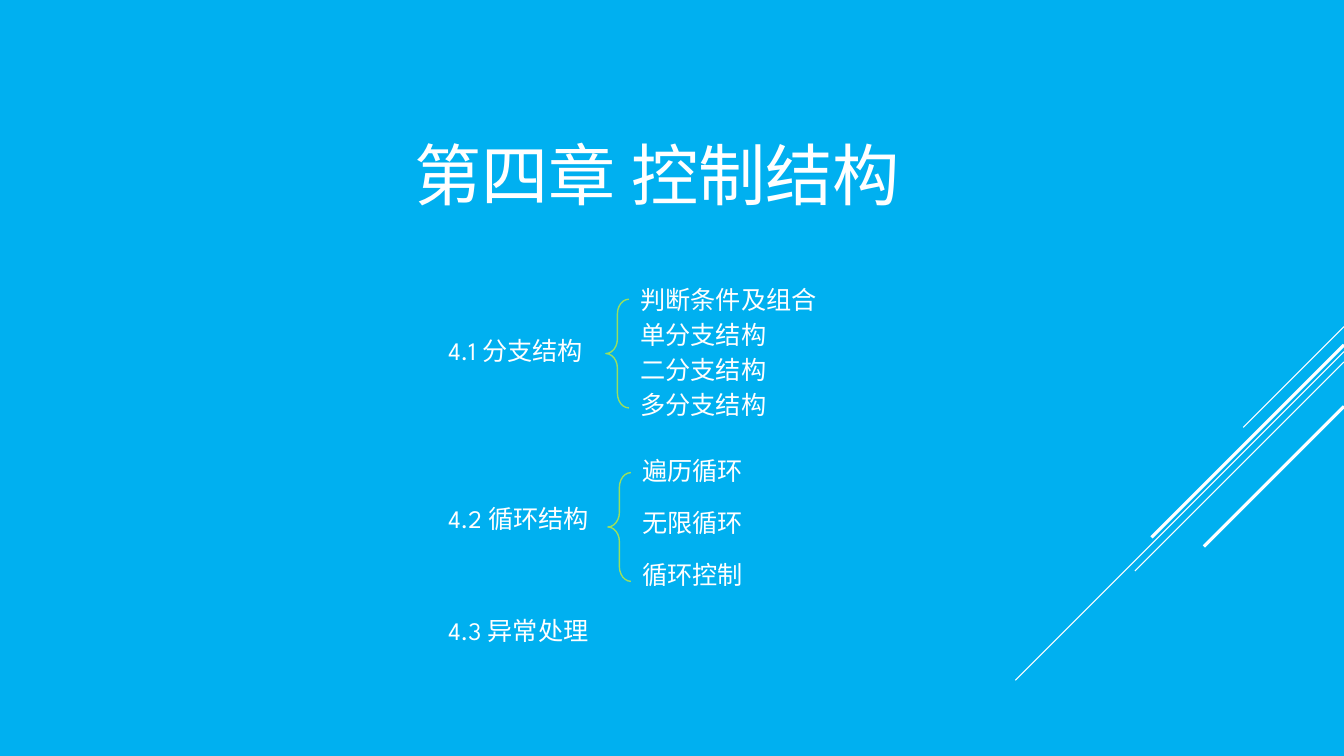
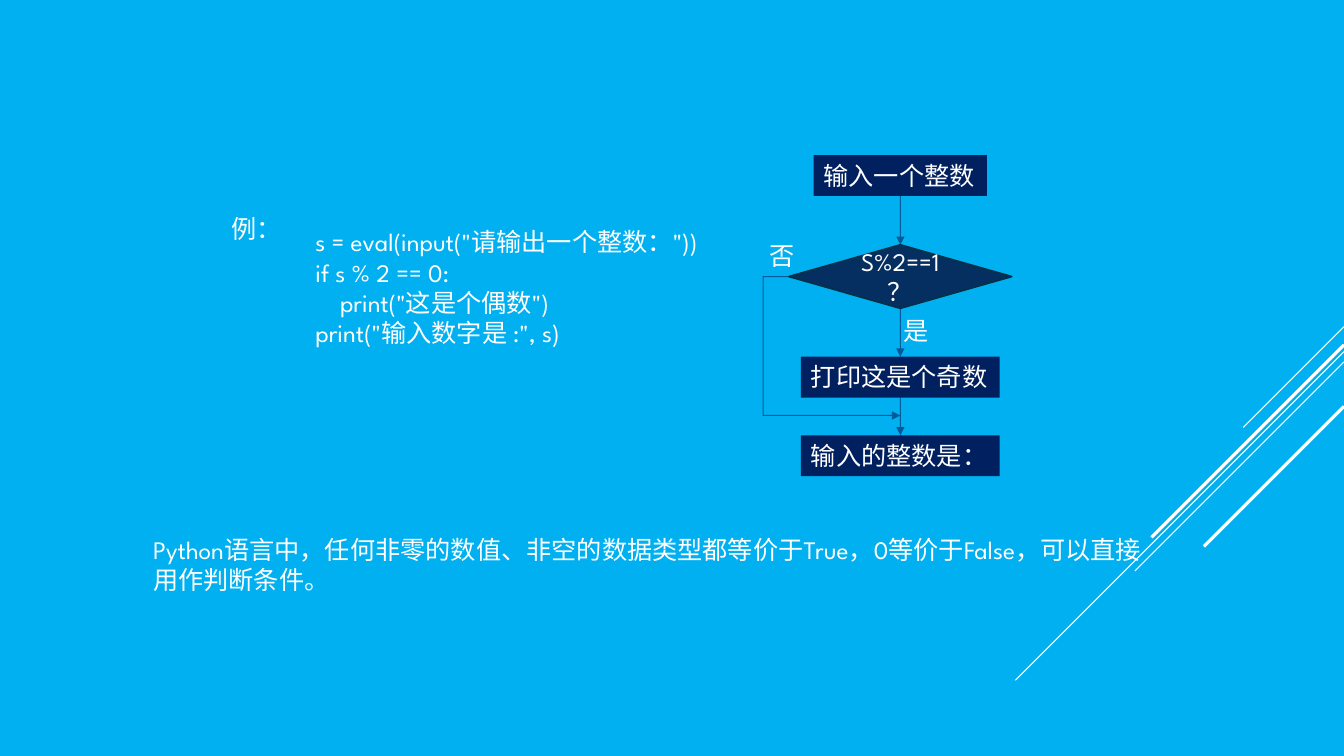
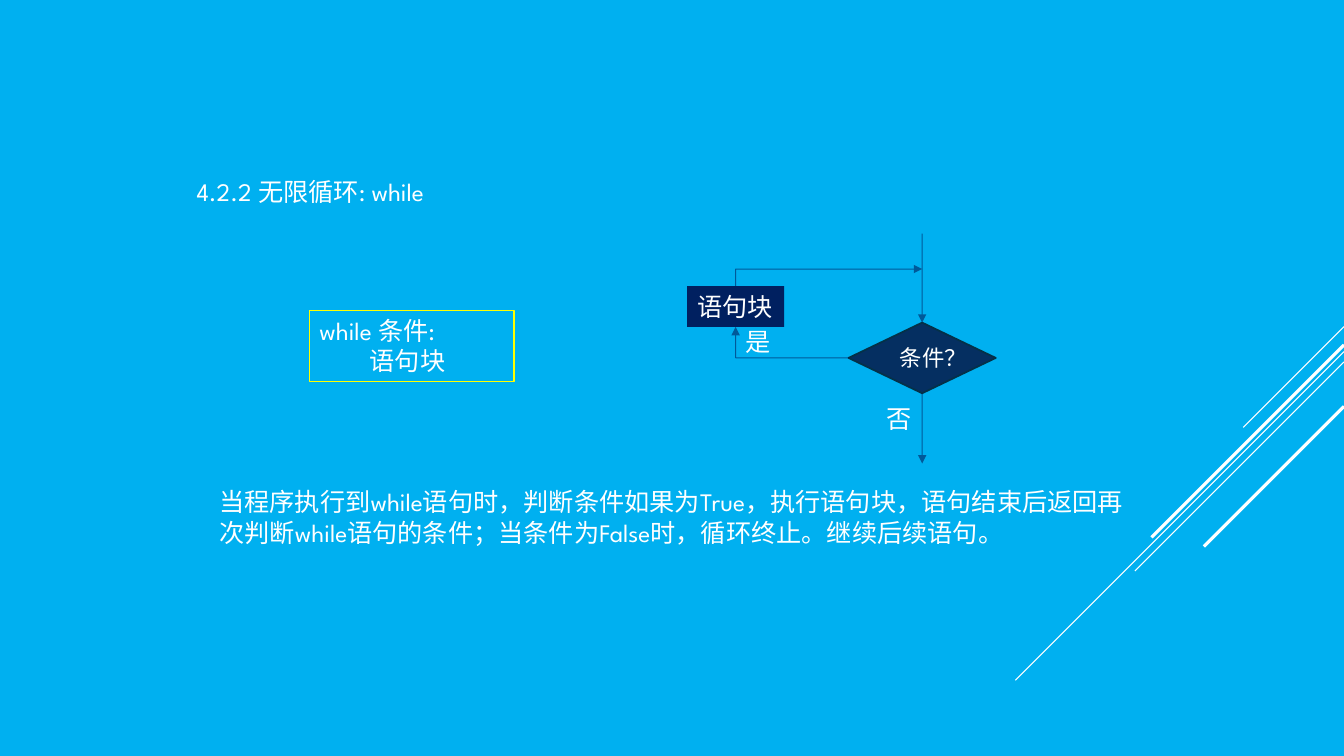
from pptx import Presentation
from pptx.dml.color import RGBColor
from pptx.enum import shapes, text
from pptx.oxml.ns import qn
from pptx.util import Cm, Pt
from lxml import etree

FONT = "League Spartan"
SKY, WHITE, YELLOW, NAVY = "00B0F0", "FFFFFF", "FFFF00", "002060"
DIAMOND_FILL, DIAMOND_EDGE = "052F61", "043148"
PAGE_W, PAGE_H = 33.87, 19.05
LINE_H = 1.03   # box height of one 18 pt line

# Diagonal stripes at 45 degrees: height on the right edge, run, weight
STRIPES = [(8.23, 2.54, 0.75), (8.86, 8.28, 0.75), (9.12, 5.27, 0.75),
           (8.69, 4.85, 2.25), (10.24, 3.53, 2.25)]

CHAPTER = "第四章 控制结构"
SECTIONS = [("4.1 分支结构", 8.33), ("4.2 循环结构", 12.57), ("4.3 异常处理", 15.37)]
# Items, left, top, gap in points, brace top
TOPICS = [
    (["判断条件及组合", "单分支结构", "二分支结构", "多分支结构"], 15.88, 7.04, 3.5, 7.54),
    (["遍历循环", "无限循环", "循环控制"], 15.93, 11.35, 15.3, 11.91),
]

PARITY_CODE = ['s = eval(input("请输出一个整数："))', "if s % 2 == 0:",
               'print("这是个偶数")', 'print("输入数字是 :", s)']
PARITY_NOTE = ("Python语言中，任何非零的数值、非空的数据类型都等价于True，"
               "0等价于False，可以直接用作判断条件。")
PARITY_AXIS = 22.69
# Kind, text, width, top, height
PARITY_STEPS = [("box", "输入一个整数", 4.37, 3.91, LINE_H),
                ("decision", "S%2==1？", 5.61, 6.17, 1.6),
                ("box", "打印这是个奇数", 5.01, 8.99, LINE_H),
                ("box", "输入的整数是：", 5.01, 10.97, LINE_H)]

WHILE_HEADING = "4.2.2 无限循环: while"
WHILE_CODE = ["while 条件:", "语句块"]
WHILE_NOTE = ("当程序执行到while语句时，判断条件如果为True，执行语句块，语句结束后返回"
              "再次判断while语句的条件；当条件为False时，循环终止。继续后续语句。")
WHILE_AXIS, BODY_AXIS = 23.24, 18.54


def rgb(hex_string):
    return RGBColor.from_string(hex_string)


def place(shape, left, top, width, height):
    for side, value in dict(left=left, top=top, width=width, height=height).items():
        setattr(shape, side, Cm(value))


def write(shape, lines, size=18, align="LEFT", anchor="TOP", gap=0, indents=()):
    """Fill a shape with paragraphs; indents maps line numbers to left margins."""
    frame = shape.text_frame
    settings = dict(word_wrap=True, auto_size=text.MSO_AUTO_SIZE.NONE,
                    vertical_anchor=text.MSO_ANCHOR[anchor])
    for key, value in settings.items():
        setattr(frame, key, value)
    frame.text = "\n".join(lines)
    for number, paragraph in enumerate(frame.paragraphs):
        paragraph.alignment = text.PP_ALIGN[align]
        paragraph.space_before, paragraph.space_after = Pt(0), Pt(gap)
        props = paragraph._p.get_or_add_pPr()
        props.set("marL", str(Cm(dict(indents).get(number, 0))))
        props.set("indent", "0")
        etree.SubElement(props, qn("a:buNone"))
        font = paragraph.runs[0].font
        font.name, font.size = FONT, Pt(size)
        font.color.rgb = rgb(WHITE)


def add_text(slide, lines, left, top, width, height=LINE_H, **style):
    box = slide.shapes.add_textbox(0, 0, 0, 0)
    place(box, left, top, width, height)
    write(box, lines, **style)


def fill_placeholder(holder, lines, left, top, width, height, **style):
    place(holder, left, top, width, height)
    write(holder, lines, **style)


def style_line(line, color, weight, opacity=100):
    line.color.rgb, line.width = rgb(color), Pt(weight)
    if opacity < 100:
        tint = line.fill._xPr.find(".//" + qn("a:srgbClr"))
        etree.SubElement(tint, qn("a:alpha"), val=str(opacity * 1000))


def add_shape(slide, kind, left, top, width, height, fill=None, edge=None):
    """Add a preset shape; edge holds colour, weight and optional opacity."""
    shape = slide.shapes.add_shape(shapes.MSO_SHAPE[kind], 0, 0, 0, 0)
    place(shape, left, top, width, height)
    shape.shadow.inherit = False
    if fill:
        shape.fill.solid()
        shape.fill.fore_color.rgb = rgb(fill)
    else:
        shape.fill.background()
    if edge:
        style_line(shape.line, *edge)
    else:
        shape.line.fill.background()
    return shape


def add_step(slide, kind, label, axis, width, top, height, size=18):
    """Add a flow chart step centred on a vertical axis."""
    left = axis - width / 2
    if kind == "decision":
        step = add_shape(slide, "FLOWCHART_DECISION", left, top, width, height,
                         DIAMOND_FILL, (DIAMOND_EDGE, 1.25))
        write(step, [label], size, "CENTER", "MIDDLE")
    else:
        step = add_shape(slide, "RECTANGLE", left, top, width, height, NAVY)
        write(step, [label], size)
    return step


def add_line(slide, start, end, kind="STRAIGHT", color=NAVY, weight=0.75, opacity=60):
    ends = [Cm(value) for value in (*start, *end)]
    line = slide.shapes.add_connector(shapes.MSO_CONNECTOR[kind], *ends)
    style_line(line.line, color, weight, opacity)
    etree.SubElement(line.element.spPr, qn("a:effectLst"))
    return line


def add_arrow(slide, start, end, kind="STRAIGHT", tip="tailEnd", preset=None, bend=None):
    """Add an arrow; bend is the elbow's place as a share of the width."""
    arrow = add_line(slide, start, end, kind)
    etree.SubElement(arrow.line._get_or_add_ln(), qn("a:" + tip), type="triangle")
    geometry = arrow.element.spPr.find(qn("a:prstGeom"))
    if preset:
        geometry.set("prst", preset)
    if bend is not None:
        etree.SubElement(geometry.find(qn("a:avLst")), qn("a:gd"), name="adj1",
                         fmla=f"val {round(bend * 100000)}")
    return arrow


def decorate_master(prs, slide):
    """Give the master its background and stripes, drawn by way of a slide."""
    master = prs.slide_master
    master.background.fill.solid()
    master.background.fill.fore_color.rgb = rgb(SKY)
    for number, (height, run, weight) in enumerate(STRIPES):
        stripe = add_line(slide, (PAGE_W, height), (PAGE_W - run, height + run),
                          color=WHITE, weight=weight, opacity=100)
        stripe.element.nvCxnSpPr.cNvPr.set("id", str(20 + number))
        master.element.cSld.spTree.append(stripe.element)


def build_outline(slide):
    fill_placeholder(slide.shapes.title, [CHAPTER], 10.19, 3.23, 12.95, 2.31, size=48)
    for label, top in SECTIONS:
        add_text(slide, [label], 11.05, top, 4.14)
    for number, (items, left, top, gap, brace_top) in enumerate(TOPICS, 1):
        fill_placeholder(slide.placeholders[number], items, left, top, 5, 3.9, gap=gap)
        brace = add_shape(slide, "LEFT_BRACE", left - 0.61, brace_top, 0.58, 2.74,
                          edge=(YELLOW, 1, 60))
        brace.adjustments[0] = 0.64


def build_parity(slide):
    steps = [add_step(slide, kind, label, PARITY_AXIS, *size)
             for kind, label, *size in PARITY_STEPS]
    for upper, lower in zip(steps, steps[1:]):
        arrow = add_arrow(slide, (0, 0), (0, 0))
        arrow.begin_connect(upper, 2)
        arrow.end_connect(lower, 0)
    add_arrow(slide, (19.88, 6.97), (PARITY_AXIS, 10.47), "ELBOW", bend=-0.23)
    add_text(slide, ["否"], 19.15, 5.94, 1.14)
    add_text(slide, ["是"], 22.53, 7.82, 1.14)
    add_text(slide, PARITY_CODE, 7.7, 5.59, 16.94, 3.33, indents={2: 0.62})
    add_text(slide, ["例："], 5.59, 5.26, 1.8)
    add_text(slide, [PARITY_NOTE], 3.61, 13.34, 25.91, 1.8)


def build_while(slide):
    fill_placeholder(slide.shapes.title, [WHILE_HEADING], 4.7, 4.32, 6.63, LINE_H)
    syntax = add_shape(slide, "RECTANGLE", 7.8, 7.82, 5.16, 1.8, edge=(YELLOW, 1))
    write(syntax, WHILE_CODE, indents={1: 1.27})
    add_text(slide, [WHILE_NOTE], 5.28, 12.14, 23.29, 1.8)

    condition = add_step(slide, "decision", "条件？", WHILE_AXIS, 3.71, 8.13, 1.78, 16)
    body = add_step(slide, "box", "语句块", BODY_AXIS, 2.44, 7.21, LINE_H)
    add_arrow(slide, (WHILE_AXIS, 5.89), (WHILE_AXIS, 8.13)).end_connect(condition, 0)
    add_arrow(slide, (WHILE_AXIS, 9.91), (WHILE_AXIS, 11.68)).begin_connect(condition, 2)
    enter = add_arrow(slide, (21.39, 9.02), (BODY_AXIS, 8.24), "ELBOW",
                      preset="bentConnector2")
    enter.begin_connect(condition, 1)
    enter.end_connect(body, 2)
    back = add_arrow(slide, (WHILE_AXIS, 6.78), (BODY_AXIS, 7.21), "ELBOW",
                     tip="headEnd", preset="bentConnector2")
    back.end_connect(body, 0)
    add_text(slide, ["是"], BODY_AXIS, 8.1, 1.14)
    add_text(slide, ["否"], 22.1, 10.03, 1.14)


def main():
    prs = Presentation()
    prs.slide_width, prs.slide_height = Cm(PAGE_W), Cm(PAGE_H)
    pages = [("Two Content", build_outline), ("Blank", build_parity),
             ("Title Only", build_while)]
    for layout, build in pages:
        slide = prs.slides.add_slide(prs.slide_layouts.get_by_name(layout))
        build(slide)
    decorate_master(prs, prs.slides[0])
    prs.save("out.pptx")


if __name__ == "__main__":
    main()
